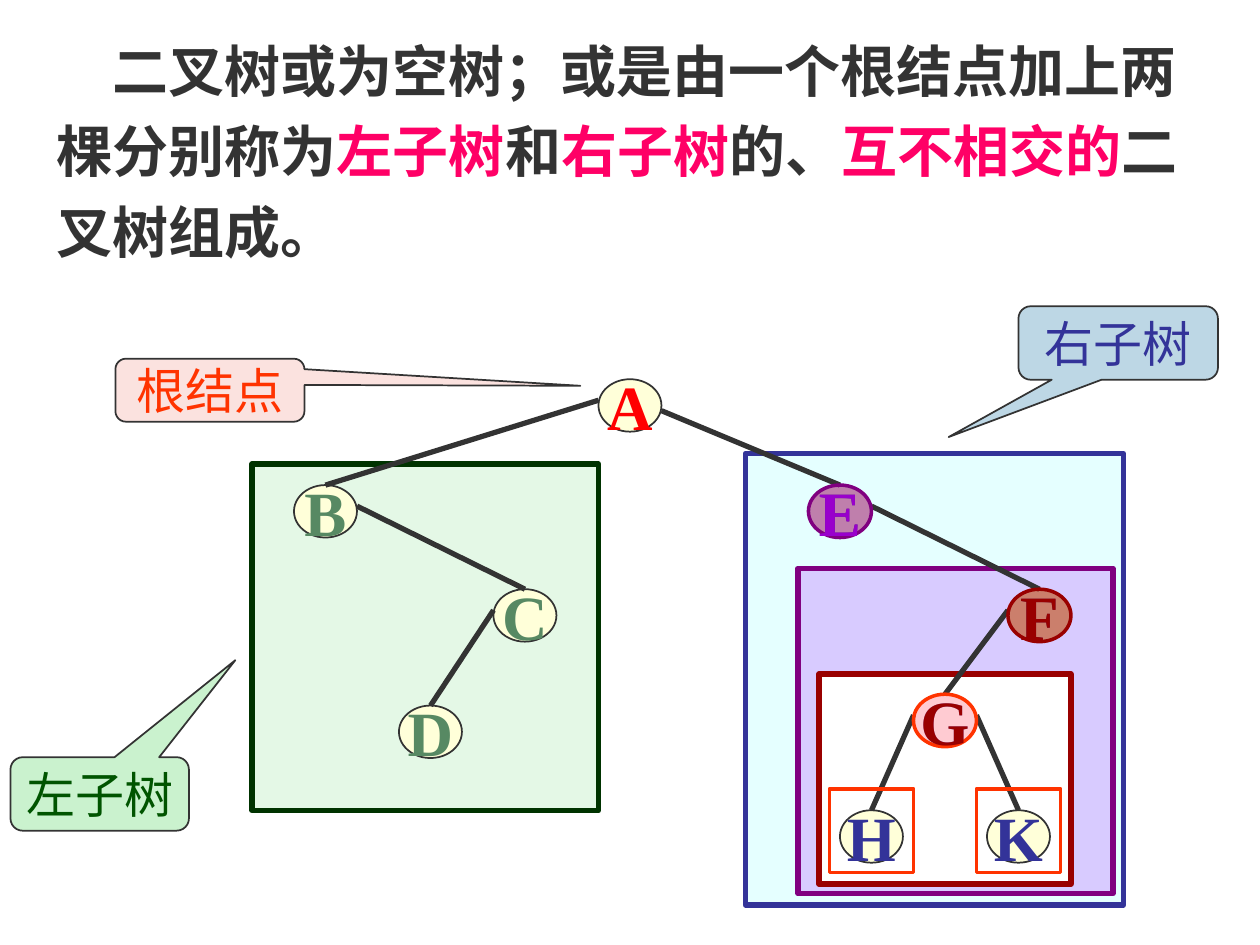
from lxml import etree
from pptx import Presentation
from pptx.dml.color import RGBColor
from pptx.enum.shapes import MSO_CONNECTOR, MSO_SHAPE
from pptx.enum.text import MSO_ANCHOR, PP_ALIGN
from pptx.oxml.ns import qn
from pptx.util import Pt

RECT, OVAL = MSO_SHAPE.RECTANGLE, MSO_SHAPE.OVAL
CALLOUT = MSO_SHAPE.ROUNDED_RECTANGULAR_CALLOUT
STRAIGHT = MSO_CONNECTOR.STRAIGHT
MIDDLE, CENTER = MSO_ANCHOR.MIDDLE, PP_ALIGN.CENTER
FONT = "Times New Roman"
NODE_W, NODE_H = 36, 30

COLORS = {
    "ink": "333333", "pink": "FF0066", "white": "FFFFFF", "cream": "FFFFD9",
    "red": "FF0000", "sage": "578963", "navy": "333399", "cyan": "CCFFFF",
    "mint": "CAF2CE", "forest": "003300", "green": "005400", "lilac": "CC99FF",
    "purple": "800080", "violet": "9900CC", "maroon": "990000",
    "rose": "FF99CC", "orange": "FF3300", "blush": "FBE2DF", "sky": "BDD7E5",
}

DEFINITION = [
    ("二叉树或为空树；或是由一个根结点加上两棵分别称为", "ink"),
    ("左子树", "pink"), ("和", "ink"), ("右子树", "pink"), ("的、", "ink"),
    ("互不相交的", "pink"), ("二叉树组成。", "ink"),
]
PANELS = [
    (282, 42.5, 216, 258, "cyan", 50, "navy"),
    (0, 48.5, 198, 198, "mint", 50, "forest"),
    (312, 108, 180, 186, "lilac", 50, "purple"),
    (324, 168.5, 144, 120, "white", 100, "maroon"),
]
NODES = {
    "A": (198, 0, "red"), "B": (24, 60.5, "sage"), "C": (138, 120, "sage"),
    "D": (84, 186.5, "sage"), "E": (318, 60.5, "navy"), "F": (432, 120, "navy"),
    "G": (378, 180, "navy"), "H": (336, 246.3, "navy"), "K": (420, 246.3, "navy"),
}
EDGES = [("A", "B", 12), ("B", "C", 12), ("C", "D", 12), ("A", "E", 18),
         ("E", "F", 12), ("F", "G", 12), ("G", "H", 12), ("G", "K", 12)]
SUBTREE_ROOTS = [("E", "purple", "purple", "violet"),
                 ("F", "maroon", "maroon", "maroon"),
                 ("G", "rose", "orange", "maroon")]
CALLOUTS = [
    ("根结点", (66, 205, 108, 36), "blush", "orange", (1.96, -0.07)),
    ("左子树", (6, 432.7, 102, 42), "mint", "green", (0.76, -1.82)),
    ("右子树", (582, 175, 114, 42), "sky", "navy", (-0.85, 1.28)),
]


def rgb(name):
    """Return the named colour."""
    return RGBColor.from_string(COLORS[name])


def style_run(r, size, color, bold):
    """Set the font of one run."""
    r.font.name, r.font.size, r.font.bold = FONT, Pt(size), bold
    r.font.color.rgb = rgb(color)


def add_outlined(slide, kind, box, fill, alpha, line, width):
    """Add a shape with an outline and an optional translucent fill."""
    sp = slide.shapes.add_shape(kind, *map(Pt, box))
    sp.shadow.inherit = False
    sp.line.color.rgb = rgb(line)
    sp.line.width = Pt(width)
    if fill is None:
        sp.fill.background()
        return sp
    sp.fill.solid()
    sp.fill.fore_color.rgb = rgb(fill)
    if alpha < 100:
        clr = sp.fill._xPr.find(qn("a:solidFill"))[0]
        etree.SubElement(clr, qn("a:alpha"), val=str(alpha * 1000))
    return sp


def add_label(sp, text, size, color, bold):
    """Write one centred, unwrapped line in a shape."""
    tf = sp.text_frame
    tf.text = text
    tf.word_wrap = False
    tf.vertical_anchor = MIDDLE
    p = tf.paragraphs[0]
    p.alignment = CENTER
    style_run(p.runs[0], size, color, bold)


def add_definition(slide, left, top, width, height):
    """Place the definition with its key terms in pink."""
    tf = slide.shapes.add_textbox(*map(Pt, (left, top, width, height))).text_frame
    tf.word_wrap = True
    p = tf.paragraphs[0]
    p.line_spacing = 1.2
    p._p.get_or_add_pPr().set("indent", str(Pt(32)))
    for text, color in DEFINITION:
        r = p.add_run()
        r.text = text
        style_run(r, 32, color, True)


def add_node(slide, left, top, name, fill, alpha, line, width, color):
    """Place one lettered tree node."""
    x, y, _ = NODES[name]
    box = (left + x, top + y, NODE_W, NODE_H)
    sp = add_outlined(slide, OVAL, box, fill, alpha, line, width)
    add_label(sp, name, 36, color, True)


def add_edge(slide, left, top, parent, child, drop):
    """Join the near side of a parent to the top of its child."""
    px, py, _ = NODES[parent]
    cx, cy, _ = NODES[child]
    x = px + NODE_W if cx > px else px
    ends = (left + x, top + py + drop, left + cx + NODE_W / 2, top + cy)
    line = slide.shapes.add_connector(STRAIGHT, *map(Pt, ends))
    line.line.color.rgb = rgb("ink")
    line.line.width = Pt(3)
    etree.SubElement(line._element.spPr, qn("a:effectLst"))


def add_tree(slide, left, top):
    """Place the binary tree with its nested subtree panels."""
    for x, y, w, h, fill, alpha, line in PANELS:
        add_outlined(slide, RECT, (left + x, top + y, w, h), fill, alpha, line, 3)
    for name, (_, _, color) in NODES.items():
        add_node(slide, left, top, name, "cream", 100, "ink", 1, color)
    for parent, child, drop in EDGES:
        add_edge(slide, left, top, parent, child, drop)
    for name, fill, line, color in SUBTREE_ROOTS:
        add_node(slide, left, top, name, fill, 50, line, 2, color)
    for leaf in "HK":
        x, y, _ = NODES[leaf]
        box = (left + x - 6, top + y - 12.3, 48, 48)
        add_outlined(slide, RECT, box, None, 100, "orange", 2)


def add_callout(slide, text, box, fill, color, tip):
    """Place a callout whose tip is given relative to its size."""
    sp = add_outlined(slide, CALLOUT, box, fill, 100, "ink", 1)
    sp.adjustments[0], sp.adjustments[1] = tip
    add_label(sp, text, 28, color, False)


def main():
    """Build and save the slide."""
    prs = Presentation()
    prs.slide_width, prs.slide_height = Pt(720), Pt(540)
    slide = prs.slides.add_slide(prs.slide_layouts[6])
    add_definition(slide, 25.2, 9.4, 678, 145.4)
    add_tree(slide, 144, 216.7)
    for callout in CALLOUTS:
        add_callout(slide, *callout)
    prs.save("out.pptx")


if __name__ == "__main__":
    main()
